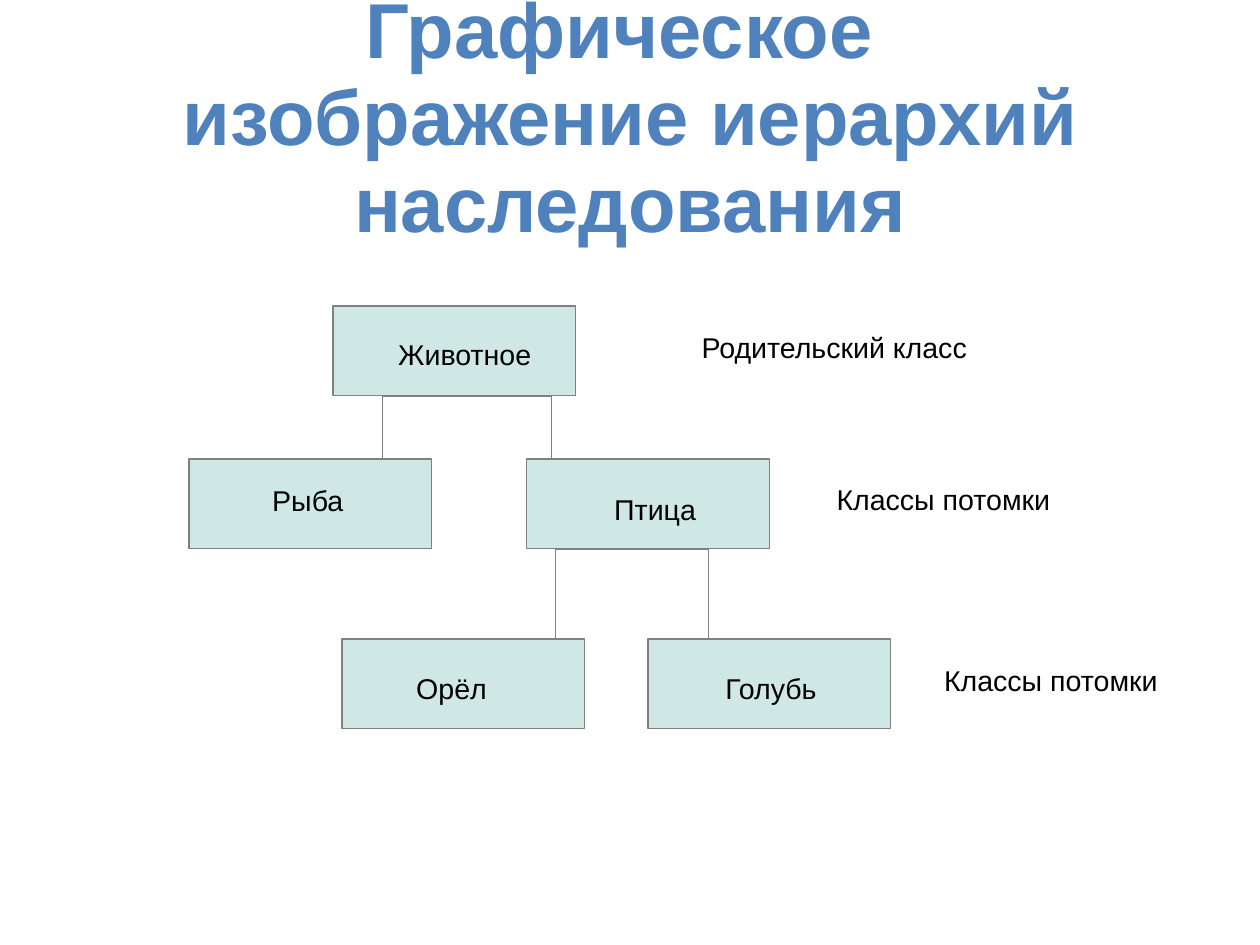
from dataclasses import dataclass

from lxml import etree
from pptx import Presentation
from pptx.dml.color import RGBColor
from pptx.enum.shapes import MSO_CONNECTOR, MSO_SHAPE
from pptx.enum.text import MSO_ANCHOR, MSO_AUTO_SIZE, PP_ALIGN
from pptx.oxml.ns import qn
from pptx.util import Inches, Pt

RECTANGLE = MSO_SHAPE.RECTANGLE
ELBOW = MSO_CONNECTOR.ELBOW
MIDDLE = MSO_ANCHOR.MIDDLE
NO_AUTOFIT = MSO_AUTO_SIZE.NONE
CENTER, LEFT = PP_ALIGN.CENTER, PP_ALIGN.LEFT

# The page and everything on it are laid out on a centimetre grid.
CM_PER_INCH = 2.54
PAGE_SIZE = (28, 21)
TITLE = "Графическое \vизображение иерархий наследования"
TITLE_AREA = (1.4, -0.36, 25.2, 5.89)

# Class: box left, box top, label left, label top, label width
CLASSES = {
    "Животное": (7.4, 6.8, 8.6, 7.38, 3.45),
    "Рыба": (4.2, 10.2, 5.8, 10.63, 2.08),
    "Птица": (11.7, 10.2, 13.4, 10.83, 2.31),
    "Орёл": (7.6, 14.2, 9, 14.8, 2.08),
    "Голубь": (14.4, 14.2, 15.87, 14.8, 2.54),
}
INHERITANCE = [
    ("Животное", "Рыба"),
    ("Животное", "Птица"),
    ("Птица", "Орёл"),
    ("Птица", "Голубь"),
]
# Level caption: text, left, top, width
LEVELS = [
    ("Родительский класс", 15.34, 7.22, 6.4),
    ("Классы потомки", 18.34, 10.6, 5.26),
    ("Классы потомки", 20.73, 14.62, 5.26),
]
BOX_SIZE = (5.4, 2)
LABEL_HEIGHT = 0.97


@dataclass(frozen=True)
class Theme:
    font: str = "Arial"
    title_color: RGBColor = RGBColor(0x4F, 0x81, 0xBD)
    text_color: RGBColor = RGBColor(0, 0, 0)
    box_fill: RGBColor = RGBColor(0xCF, 0xE7, 0xE5)
    line_color: RGBColor = RGBColor(0x80, 0x80, 0x80)
    line_width: Pt = Pt(0.75)
    title_size: Pt = Pt(49)
    text_size: Pt = Pt(18)
    line_spacing: float = 0.93


THEME = Theme()


def grid(*centimetres):
    """Turn grid values in centimetres into slide lengths."""
    return [Inches(value / CM_PER_INCH) for value in centimetres]


def set_text(frame, text, size, color, bold, alignment, margins):
    frame.text = text
    frame.auto_size = NO_AUTOFIT
    (frame.margin_left, frame.margin_top,
     frame.margin_right, frame.margin_bottom) = map(Inches, margins)
    for para in frame.paragraphs:
        para.alignment = alignment
        para.line_spacing = THEME.line_spacing
        for span in para.runs:
            span.font.name = THEME.font
            span.font.size = size
            span.font.bold = bold
            span.font.color.rgb = color


def set_line(line):
    line.color.rgb = THEME.line_color
    line.width = THEME.line_width


def add_title(page):
    title = page.shapes.title
    title.left, title.top, title.width, title.height = grid(*TITLE_AREA)
    title.text_frame.vertical_anchor = MIDDLE
    title.text_frame.word_wrap = True
    set_text(title.text_frame, TITLE, THEME.title_size, THEME.title_color,
             True, CENTER, (0, 0.05, 0, 0))


def add_class_box(page, left, top):
    box = page.shapes.add_shape(RECTANGLE, *grid(left, top, *BOX_SIZE))
    box.shadow.inherit = False
    box.fill.solid()
    box.fill.fore_color.rgb = THEME.box_fill
    set_line(box.line)
    return box


def add_inheritance(page, parent, child):
    """Run an elbow from the parent's bottom middle to the child's top middle."""
    connector = page.shapes.add_connector(
        ELBOW,
        parent.left + parent.width // 2, parent.top + parent.height,
        child.left + child.width // 2, child.top)
    set_line(connector.line)
    etree.SubElement(connector._element.spPr, qn("a:effectLst"))


def add_label(page, text, left, top, width):
    label = page.shapes.add_textbox(*grid(left, top, width, LABEL_HEIGHT))
    label.text_frame.word_wrap = False
    set_text(label.text_frame, text, THEME.text_size, THEME.text_color,
             False, LEFT, (0.1, 0.07, 0.1, 0.05))


def main():
    deck = Presentation()
    deck.slide_width, deck.slide_height = grid(*PAGE_SIZE)
    page = deck.slides.add_slide(deck.slide_layouts.get_by_name("Title Only"))
    add_title(page)
    boxes = {name: add_class_box(page, left, top)
             for name, (left, top, *_) in CLASSES.items()}
    for parent, child in INHERITANCE:
        add_inheritance(page, boxes[parent], boxes[child])
    for name, (_, _, *label_area) in CLASSES.items():
        add_label(page, name, *label_area)
    for level in LEVELS:
        add_label(page, *level)
    deck.save("out.pptx")


if __name__ == "__main__":
    main()
